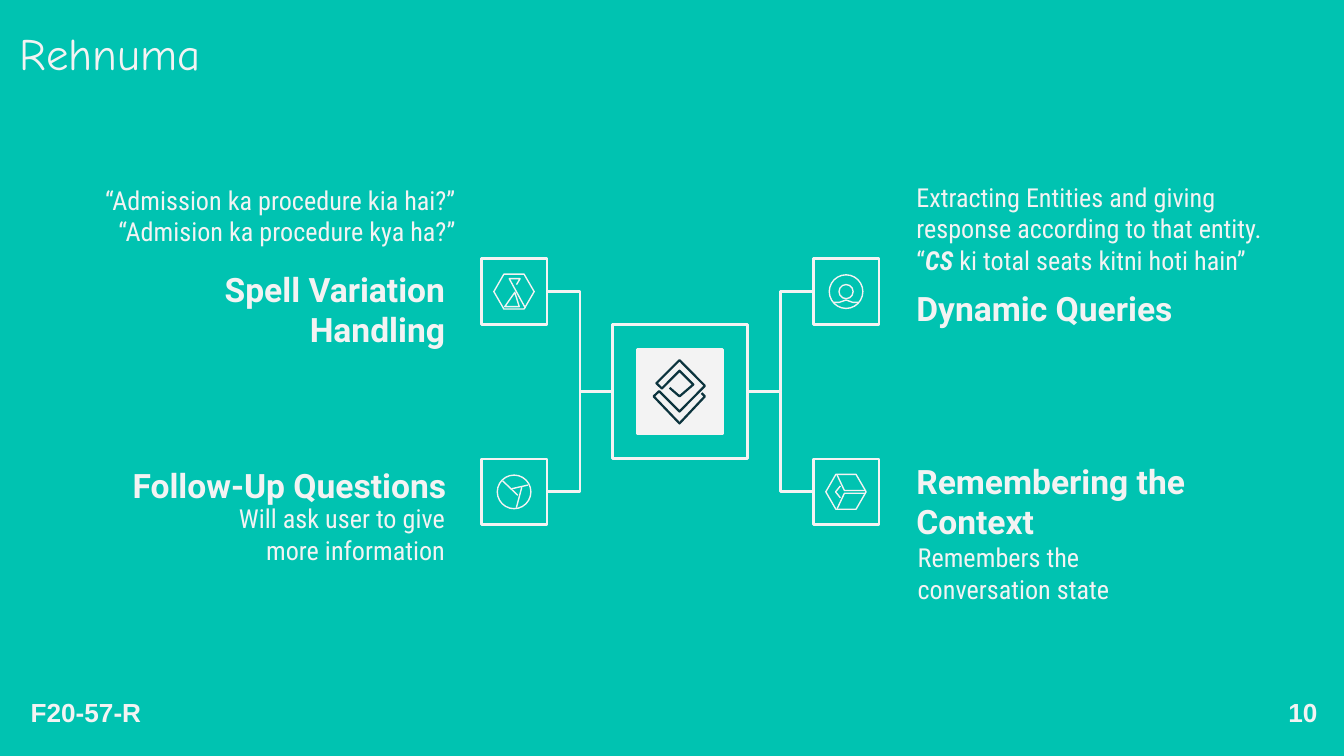
import pptx
import pptx.util
import pptx.dml.color
import pptx.enum.shapes
import pptx.enum.text
import pptx.oxml

IN = pptx.util.Inches
ALIGN = pptx.enum.text.PP_ALIGN
KIND = pptx.enum.shapes.MSO_SHAPE
PALE, TEAL, NAVY = "F3F3F3", "00C3B1", "0C343D"
LINE = 1.5
HUB, NODE = 1, 0.49              # sides of the squares
STEP = (2.47 / 2, 1.49 / 2)      # from hub centre to node centre
MID = (5.06, 2.17 + STEP[1])     # centre of the hub

# Icon strokes, in percent of the icon box
HEX = [(25, 0), (75, 0), (100, 50), (75, 100), (25, 100), (0, 50), (25, 0)]
GLASS = [HEX, [(56, 30), (65, 13), (38, 13), (78, 97)],
         [(63, 93), (27, 93), (52, 52), (63, 93)]]
CUBE = [HEX, [(28, 2), (46, 46), (97, 46)], [(28, 98), (46, 54), (97, 54)],
        [(36, 33), (24, 50), (36, 67)]]
CHART = [[(16, 17), (61, 60)], [(91, 30), (42, 41)], [(73, 36), (57, 97)]]
USER = [[(14, 82), (30, 82), (50, 75), (70, 82), (86, 82)]]
MAZE = [[(31, 44), (49, 57), (74, 39), (49, 18), (17, 45), (7, 37), (49, 2),
         (95, 41), (49, 80), (12, 49), (2, 57), (49, 98), (95, 57), (89, 52)]]


def color(code):
    return pptx.dml.color.RGBColor.from_string(code)


def square(mid, size):
    """Box of the given width and height around a centre."""
    wide, high = size
    return mid[0] - wide / 2, mid[1] - high / 2, wide, high


def style(shape, fill=None, line=PALE, width=LINE):
    shape.shadow.inherit = False
    if fill:
        shape.fill.solid()
        shape.fill.fore_color.rgb = color(fill)
    else:
        shape.fill.background()
    shape.line.color.rgb = color(line)
    shape.line.width = pptx.util.Pt(width)


def form(slide, kind, box, **look):
    shape = slide.shapes.add_shape(kind, *map(IN, box))
    style(shape, **look)


def icon(slide, box, strokes, rings=(), tint=PALE, width=0.75):
    """Line icon; rings are shares of the box used as circle diameters."""
    left, top, wide, high = box
    mid = (left + wide / 2, top + high / 2)
    for share in rings:
        form(slide, KIND.OVAL, square(mid, (wide * share, high * share)),
             line=tint, width=width)
    for stroke in strokes:
        spots = [(IN(left + wide * x / 100), IN(top + high * y / 100))
                 for x, y in stroke]
        pen = slide.shapes.build_freeform(*spots[0])
        pen.add_line_segments(spots[1:], close=stroke[0] == stroke[-1])
        style(pen.convert_to_shape(), line=tint, width=width)


def text(slide, box, lines, font, size, align, bold=False, middle=False, pad=0.1):
    """Each line is a list of runs; a run in a tuple is bold italic."""
    frame = slide.shapes.add_textbox(*map(IN, box)).text_frame
    frame.word_wrap = True
    frame.margin_left = frame.margin_right = IN(0.1)
    frame.margin_top = frame.margin_bottom = IN(pad)
    anchor = pptx.enum.text.MSO_ANCHOR
    frame.vertical_anchor = anchor.MIDDLE if middle else anchor.TOP
    for n, line in enumerate(lines):
        para = frame.add_paragraph() if n else frame.paragraphs[0]
        para.alignment = align
        for part in line:
            run = para.add_run()
            strong = isinstance(part, tuple)
            run.text = part[0] if strong else part
            run.font.name = font
            run.font.size = pptx.util.Pt(size)
            run.font.bold = bold or strong
            run.font.italic = strong
            run.font.color.rgb = color(PALE)


def link(slide, start, end):
    wire = slide.shapes.add_connector(
        pptx.enum.shapes.MSO_CONNECTOR.ELBOW, *map(IN, start + end))
    wire.line.color.rgb = color(PALE)
    wire.line.width = pptx.util.Pt(LINE)
    props = wire.element.spPr
    props.append(pptx.oxml.parse_xml(
        '<a:effectLst xmlns:a="http://schemas.openxmlformats.org/drawingml/2006/main"/>'))


def hub(slide, mid):
    form(slide, KIND.RECTANGLE, square(mid, (HUB, HUB)))
    form(slide, KIND.RECTANGLE, square(mid, (0.63, 0.63)), fill=PALE)
    icon(slide, square(mid, (0.41, 0.49)), MAZE, tint=NAVY, width=1.2)


def node(slide, side, row, art, size, rings, head, note):
    """One branch: side is -1 left or 1 right, row is -1 top or 1 bottom."""
    mid = (MID[0] + side * STEP[0], MID[1] + row * STEP[1])
    start = (MID[0] + side * HUB / 2, MID[1])
    link(slide, start, (mid[0] - side * NODE / 2, mid[1]))
    form(slide, KIND.RECTANGLE, square(mid, (NODE, NODE)))
    icon(slide, square(mid, size), art, rings)
    align = ALIGN.RIGHT if side < 0 else ALIGN.LEFT
    text(slide, note[0], note[1], "Roboto Condensed", 14, align)
    text(slide, head[0], [[head[1]]], "Roboto", 18, align, bold=True,
         middle=row < 0)


def labels(slide, wide, high):
    """Title at the top left, footer along the bottom."""
    text(slide, (-0.016 * wide, 0.18, 0.196 * wide, 0.42), [["Rehnuma"]],
         "Comic Neue", 24, ALIGN.CENTER, middle=True)
    for left, span, words in ((-0.16, 1.6, "F20-57-R"), (9.48, 0.43, "10")):
        text(slide, (left, high - 0.48, span, 0.3), [[words]], "Arial", 14,
             ALIGN.CENTER, bold=True, middle=True, pad=0.05)


def main():
    wide = 10
    high = wide * 9 / 16
    deck = pptx.Presentation()
    deck.slide_width, deck.slide_height = IN(wide), IN(high)
    slide = deck.slides.add_slide(deck.slide_layouts[6])
    slide.background.fill.solid()
    slide.background.fill.fore_color.rgb = color(TEAL)

    hub(slide, MID)
    hexa, disc = (0.3, 0.26), (0.25, 0.25)
    node(slide, -1, -1, GLASS, hexa, (),
         ((0.97, 2.1, 2.44, 0.4), "Spell Variation Handling"),
         ((0.41, 1.27, 3.08, 0.83), [["“Admission ka procedure kia hai?”"],
                                     ["“Admision ka procedure kya ha?”"]]))
    node(slide, 1, -1, USER, disc, (1, 0.42),
         ((6.72, 2.09, 2.4, 0.4), "Dynamic Queries"),
         ((6.72, 1.25, 3.08, 0.95),
          [["Extracting Entities and giving response according to that entity."],
           ["“", ("CS ",), "ki total seats kitni hoti hain”"]]))
    node(slide, -1, 1, CHART, disc, (1,),
         ((0.68, 3.36, 2.74, 0.4), "Follow-Up Questions"),
         ((1.33, 3.64, 2.08, 0.77), [["Will ask user to give more information"]]))
    node(slide, 1, 1, CUBE, hexa, (),
         ((6.72, 3.33, 2.4, 0.4), "Remembering the Context"),
         ((6.73, 3.93, 1.94, 0.77), [["Remembers the conversation state"]]))
    labels(slide, wide, high)
    deck.save("out.pptx")


if __name__ == "__main__":
    main()
